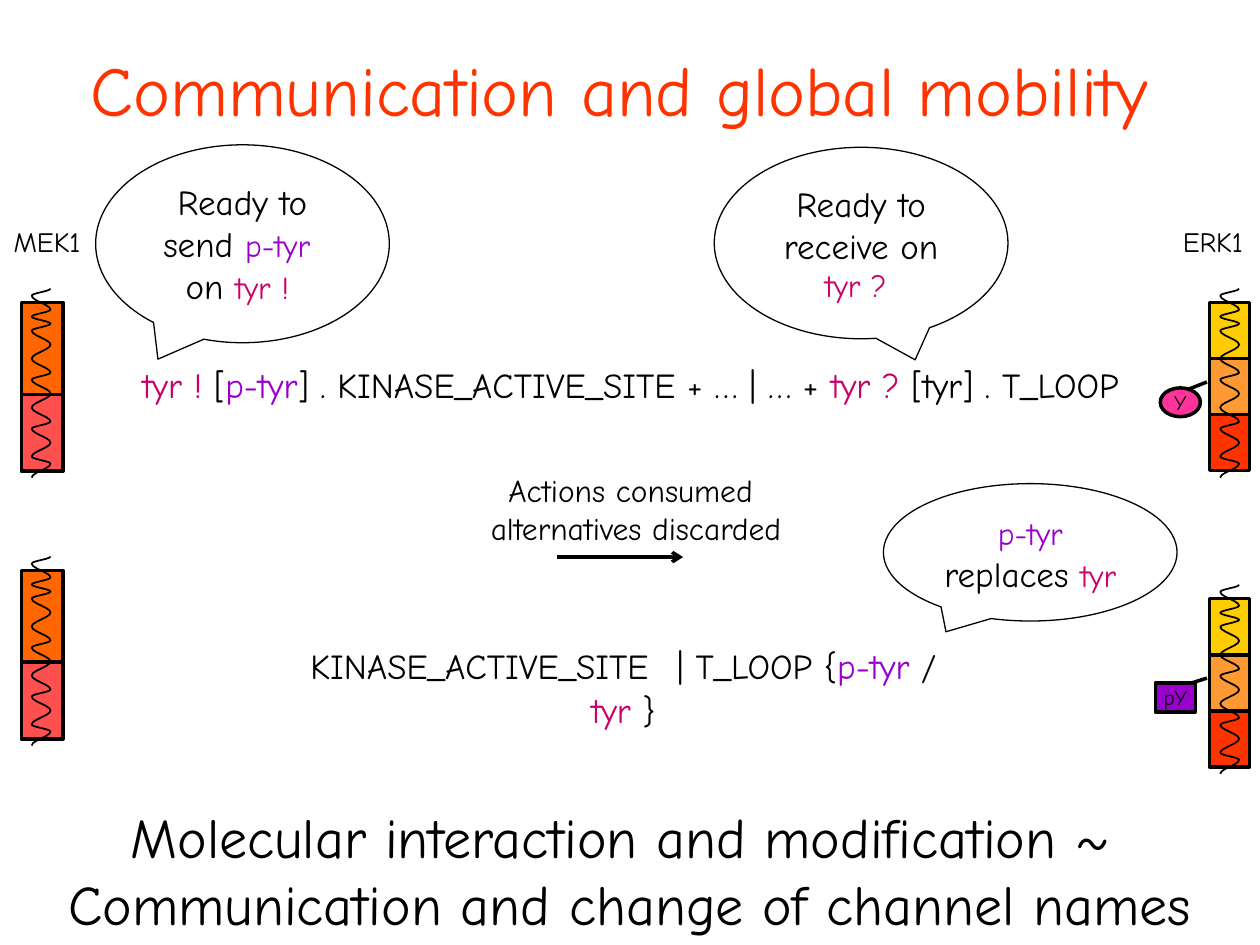
from dataclasses import dataclass
from itertools import accumulate
from math import cos, pi
from typing import NamedTuple

from lxml.etree import SubElement
from pptx import Presentation
from pptx.dml.color import RGBColor
from pptx.enum.shapes import MSO_CONNECTOR as Connector, MSO_SHAPE as Preset
from pptx.enum.text import MSO_ANCHOR as Anchor, PP_ALIGN as Align
from pptx.oxml.ns import qn
from pptx.util import Cm, Pt

FONT = "Comic Neue"
COLORS = {
    "black": "000000", "white": "FFFFFF", "title": "FF3300", "channel": "CC0066",
    "message": "9900CC", "orange": "FF6600", "coral": "FF5050", "yellow": "FFCC00",
    "amber": "FF9933", "red": "FF3300", "pink": "FF3399",
}
# Distances between successive turns of the squiggle, in steps
TURN_GAPS = [1, 2, 1, 1, 1, 2, 2, 2, 1, 2, 2, 2, 1, 2, 2, 1, 2]
TURN_STEP = 3.81 / sum(TURN_GAPS)
SQUIGGLE_WIDTH = 0.38
SQUIGGLE_RISE = 0.28
POINTS_PER_TURN = 6


class Box(NamedTuple):
    left: float
    top: float
    width: float
    height: float


class Piece(NamedTuple):
    text: str
    size: float
    color: str = "black"


BREAK = Piece("\n", 0)


@dataclass
class TextBlock:
    box: Box
    pieces: list[Piece]
    anchor: Anchor = Anchor.TOP
    wrap: bool = False


@dataclass
class Callout:
    box: Box
    tip: tuple[float, float]
    pieces: list[Piece]


@dataclass
class Domain:
    height: float
    color: str


@dataclass
class Protein:
    left: float
    top: float
    width: float
    squiggle_left: float
    domains: list[Domain]


@dataclass
class Site:
    preset: Preset
    box: Box
    label: str
    color: str
    stalk: tuple[float, float, float, float]


MEK_DOMAINS = [Domain(1.85, "orange"), Domain(1.55, "coral")]
ERK_DOMAINS = [Domain(1.13, color) for color in ("yellow", "amber", "red")]
PROTEINS = [Protein(0.43, top, 0.84, 0.64, MEK_DOMAINS) for top in (6.1, 11.5)]
PROTEINS += [Protein(24.38, top, 0.81, 24.6, ERK_DOMAINS) for top in (6.1, 12.07)]

SITES = [
    Site(Preset.OVAL, Box(23.39, 7.82, 0.81, 0.58), "Y", "pink", (24.33, 7.7, 23.95, 7.85)),
    Site(Preset.RECTANGLE, Box(23.29, 13.77, 0.81, 0.58), "pY", "message",
         (24.33, 13.67, 23.95, 13.79)),
]
PROTEIN_LABELS = {"MEK1": Box(0, 4.14, 1.9, 1.47), "ERK1": Box(23.5, 4.14, 1.9, 1.47)}

TEXT_BLOCKS = [
    TextBlock(Box(0, 0.2, 24.97, 3.18), [Piece("Communication and global mobility", 40, "title")],
              Anchor.MIDDLE, True),
    TextBlock(Box(1.12, 16.05, 23.16, 2.97), [
        Piece("Molecular interaction and modification ~ ", 32), BREAK,
        Piece("Communication and change of channel names", 32)]),
    TextBlock(Box(0.33, 7.19, 24.77, 1.47), [
        Piece("tyr !", 20, "channel"), Piece(" [", 20), Piece("p-tyr", 20, "message"),
        Piece("] . KINASE_ACTIVE_SITE + … | … + ", 20), Piece("tyr ?", 20, "channel"),
        Piece(" [tyr] . T_LOOP", 20)], wrap=True),
    TextBlock(Box(5.33, 12.73, 14.48, 1.27), [
        Piece("KINASE_ACTIVE_SITE", 20), Piece("  ", 24), Piece("| T_LOOP {", 20),
        Piece("p-tyr ", 20, "message"), Piece("/ ", 20), Piece("tyr ", 20, "channel"),
        Piece("}", 20)]),
    TextBlock(Box(7.42, 9.53, 10.8, 1.47), [
        Piece("Actions consumed ", 18), BREAK, Piece("alternatives discarded", 18)],
        Anchor.MIDDLE),
]
CALLOUTS = [
    Callout(Box(1.93, 2.92, 5.92, 3.99), (-0.288, 0.583), [
        Piece("Ready to send ", 20), Piece("p-tyr", 18, "message"), Piece(" ", 20), BREAK,
        Piece("on ", 20), Piece("tyr ! ", 18, "channel")]),
    Callout(Box(14.4, 2.97, 5.92, 3.86), (0.184, 0.61), [
        Piece("Ready to receive on ", 20), Piece("tyr ? ", 18, "channel")]),
    Callout(Box(17.81, 9.75, 5.92, 2.77), (-0.287, 0.578), [
        Piece("p-tyr", 18, "message"), Piece(" replaces ", 20), Piece("tyr", 18, "channel")]),
]


def rgb(name: str) -> RGBColor:
    return RGBColor.from_string(COLORS[name])


def write_text(shape, pieces: list[Piece], anchor=Anchor.MIDDLE, wrap=False, side=0.25) -> None:
    frame = shape.text_frame
    frame_format = {"margin_left": Cm(side), "margin_right": Cm(side), "margin_top": Cm(0.13),
                    "margin_bottom": Cm(0.13), "vertical_anchor": anchor, "word_wrap": wrap}
    for name, value in frame_format.items():
        setattr(frame, name, value)
    paragraph = frame.paragraphs[0]
    paragraph.alignment = Align.CENTER
    for piece in pieces:
        if piece is BREAK:
            paragraph.add_line_break()
            continue
        run = paragraph.add_run()
        run.text = piece.text
        for name, value in {"name": FONT, "size": Pt(piece.size)}.items():
            setattr(run.font, name, value)
        run.font.color.rgb = rgb(piece.color)


def style_shape(shape, fill: str | None, line_width: float) -> None:
    """Set fill and black outline; no fill name or a zero width means none."""
    shape.shadow.inherit = False
    if fill:
        shape.fill.solid()
        shape.fill.fore_color.rgb = rgb(fill)
    else:
        shape.fill.background()
    if line_width:
        shape.line.color.rgb = rgb("black")
        shape.line.width = Pt(line_width)
    else:
        shape.line.fill.background()


def add_preset(slide, preset: Preset, box: Box, fill: str | None, line_width: float):
    shape = slide.shapes.add_shape(preset, *map(Cm, box))
    style_shape(shape, fill, line_width)
    return shape


def add_line(slide, ends: tuple[float, float, float, float], arrow: bool = False) -> None:
    line = slide.shapes.add_connector(Connector.STRAIGHT, *map(Cm, ends))
    line.line.color.rgb = rgb("black")
    line.line.width = Pt(2)
    if arrow:
        SubElement(line.line._get_or_add_ln(), qn("a:tailEnd"), type="arrow")
    SubElement(line._element.spPr, qn("a:effectLst"))


def add_squiggle(slide, left: float, top: float) -> None:
    """Draw a wave that swings between right and left at each turn, easing by cosine."""
    turns = [top + TURN_STEP * steps for steps in accumulate(TURN_GAPS, initial=0)]
    points = []
    for index, (start, end) in enumerate(zip(turns, turns[1:])):
        for step in range(1, POINTS_PER_TURN + 1):
            share = step / POINTS_PER_TURN
            x = left + SQUIGGLE_WIDTH * (1 + cos(pi * (index + share))) / 2
            points.append((Cm(x), Cm(start + (end - start) * share)))
    builder = slide.shapes.build_freeform(Cm(left + SQUIGGLE_WIDTH), Cm(top))
    builder.add_line_segments(points, close=False)
    style_shape(builder.convert_to_shape(), None, 1)


def add_protein(slide, protein: Protein) -> None:
    top = protein.top
    for domain in protein.domains:
        box = Box(protein.left, top, protein.width, domain.height)
        add_preset(slide, Preset.RECTANGLE, box, domain.color, 2)
        top += domain.height
    add_squiggle(slide, protein.squiggle_left, protein.top - SQUIGGLE_RISE)


def add_site(slide, site: Site) -> None:
    add_line(slide, site.stalk)
    shape = add_preset(slide, site.preset, site.box, site.color, 2)
    write_text(shape, [Piece(site.label, 12)])


def add_callout(slide, callout: Callout) -> None:
    shape = add_preset(slide, Preset.OVAL_CALLOUT, callout.box, None, 0.75)
    for index, value in enumerate(callout.tip):
        shape.adjustments[index] = value
    write_text(shape, callout.pieces, wrap=True, side=0.13)


def main() -> None:
    presentation = Presentation()
    presentation.slide_width, presentation.slide_height = Cm(25.4), Cm(19.05)
    slide = presentation.slides.add_slide(presentation.slide_layouts[6])
    for block in TEXT_BLOCKS:
        shape = slide.shapes.add_textbox(*map(Cm, block.box))
        write_text(shape, block.pieces, block.anchor, block.wrap)
    for protein in PROTEINS:
        add_protein(slide, protein)
    for site in SITES:
        add_site(slide, site)
    for label, box in PROTEIN_LABELS.items():
        shape = add_preset(slide, Preset.RECTANGLE, box, "white", 0)
        write_text(shape, [Piece(label, 16)])
    for callout in CALLOUTS:
        add_callout(slide, callout)
    add_line(slide, (11.23, 11.23, 13.77, 11.23), arrow=True)
    presentation.save("out.pptx")


if __name__ == "__main__":
    main()
